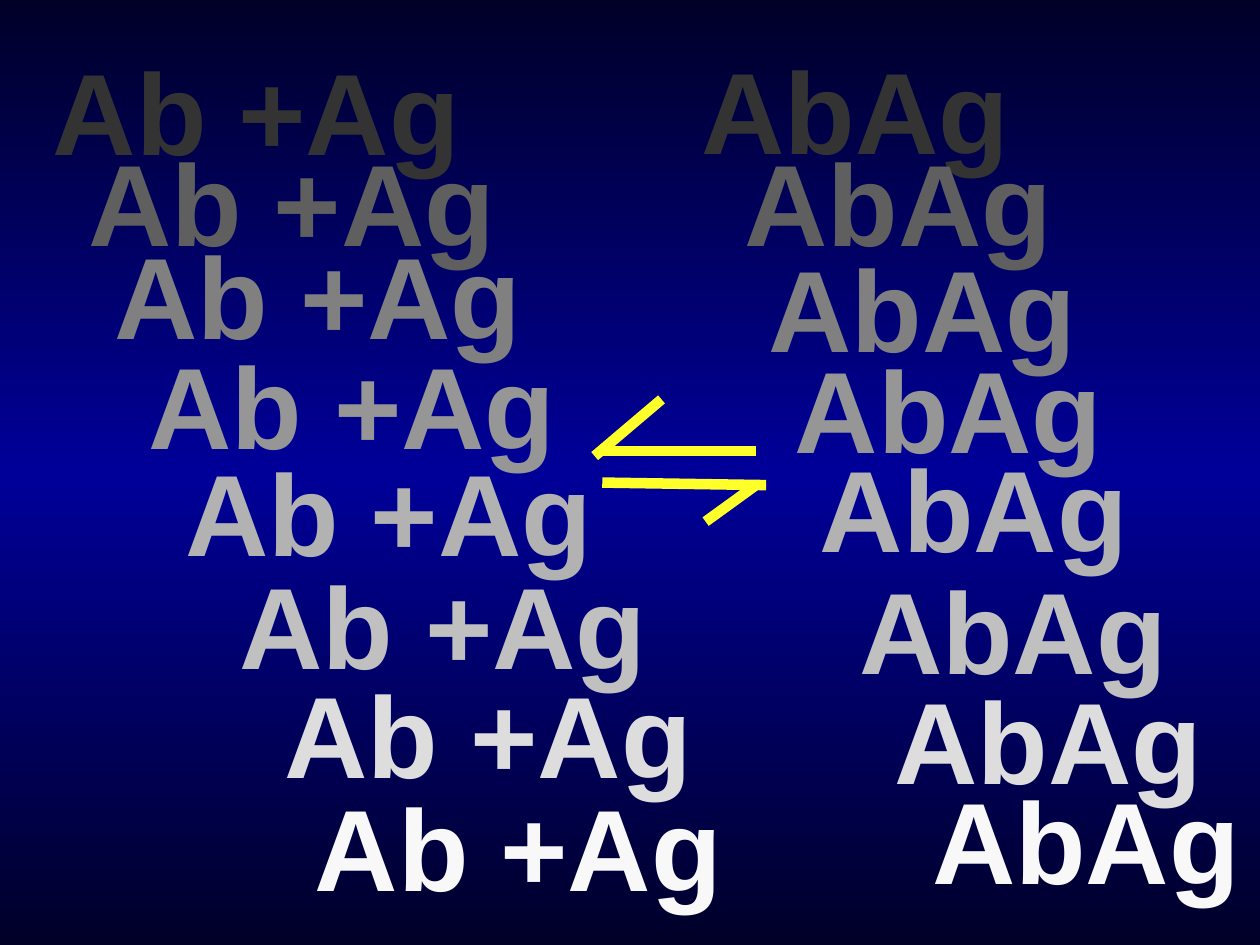
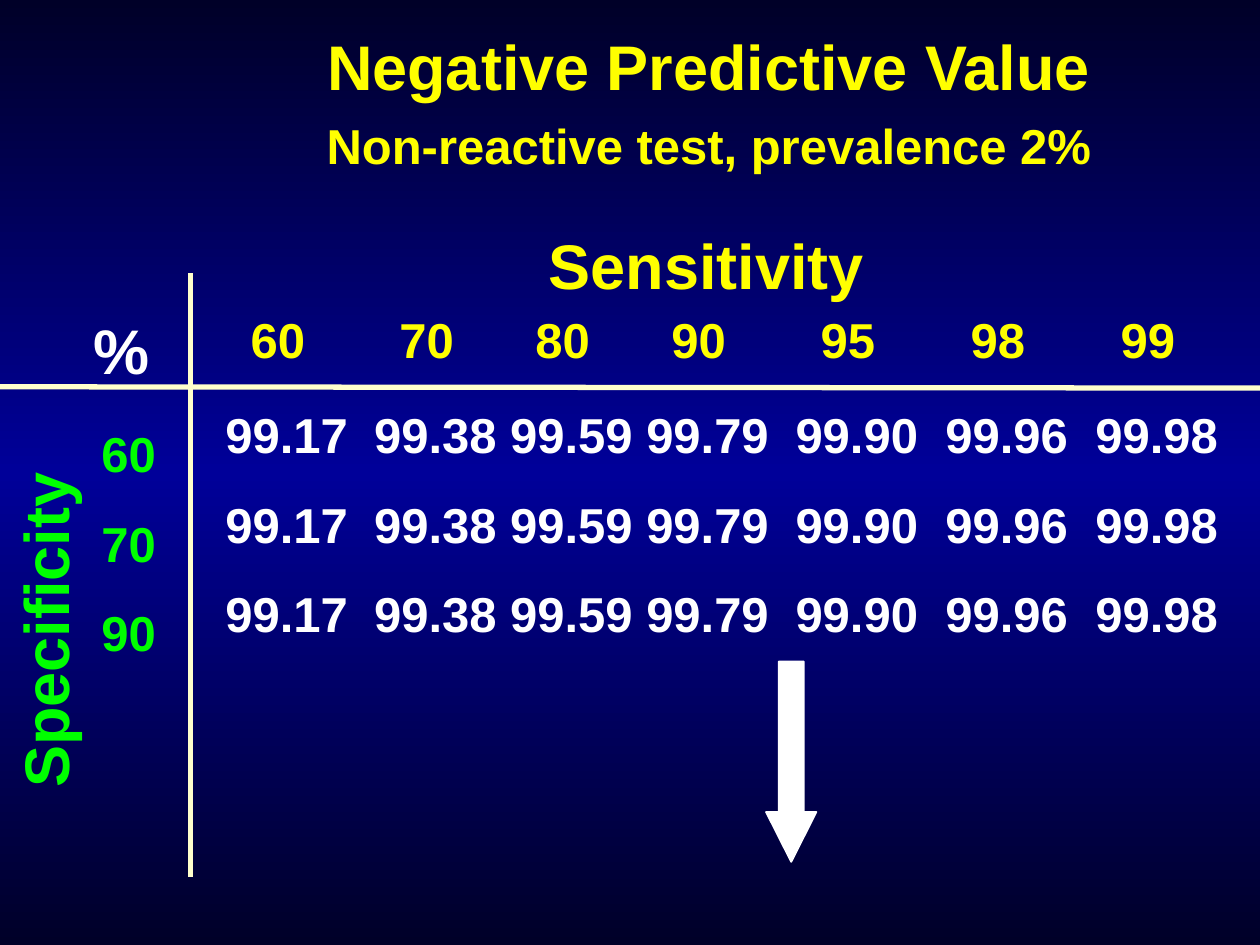
from copy import deepcopy
from pptx import Presentation
from pptx.dml.color import RGBColor
from pptx.enum.shapes import MSO_CONNECTOR as CONN, MSO_SHAPE as SHAPE
from pptx.enum.text import MSO_ANCHOR as ANCHOR, MSO_AUTO_SIZE as AUTO, PP_ALIGN as ALIGN
from pptx.oxml import parse_xml
from pptx.oxml.ns import nsdecls, qn
from pptx.util import Inches, Pt

FONT = "Arial"
NAVY, BLUE = "000028", "000099"
YELLOW, GREEN, WHITE, CREAM, ARROW = "FFFF00", "00FF00", "FFFFFF", "FFFFCC", "FFFF29"
NO_GRID = "{2D5ABB26-0587-4C30-8999-92F81FD0307C}"

REACTION_STEPS = [
    ("333333", (0.32, 0.27), (5.17, 0.26)),
    ("5F5F5F", (0.6, 0.99), (5.51, 0.99)),
    ("808080", (0.81, 1.73), (5.7, 1.83)),
    ("969696", (1.08, 2.6), (5.91, 2.63)),
    ("B2B2B2", (1.37, 3.45), (6.11, 3.42)),
    ("C0C0C0", (1.8, 4.35), (6.42, 4.39)),
    ("DDDDDD", (2.16, 5.21), (6.7, 5.26)),
    ("F8F8F8", (2.4, 6.11), (7, 6.05)),
]
EQUILIBRIUM_ARROWS = [
    ((4.78, 3.83), (6.08, 3.85)),
    ((4.72, 3.62), (5.25, 3.17)),
    ((6, 3.85), (5.6, 4.14)),
    ((4.75, 3.58), (6, 3.58)),
]
SENSITIVITIES = ["60", "70", "80", "90", "95", "98", "99"]
SPECIFICITIES = ["60", "70", "90"]
PREDICTIVE_VALUES = ["99.17", "99.38", "99.59", "99.79", "99.90", "99.96", "99.98"]
COLUMN_WIDTHS = [1.3, 1.21, 1.15, 1.01, 1.15, 1.22, 1.16, 1.22]


def rgb(color):
    return RGBColor.from_string(color)


def add_run(p, text, size, color):
    r = p.add_run()
    r.text = text
    r.font.size = Pt(size)
    r.font.bold = True
    r.font.name = FONT
    r.font.color.rgb = rgb(color)
    return r


def add_text(s, at, text, size, color, align=ALIGN.CENTER, rotation=0):
    sp = s.shapes.add_textbox(*map(Inches, at))
    sp.rotation = rotation
    tf = sp.text_frame
    tf.word_wrap = True
    tf.vertical_anchor = ANCHOR.BOTTOM
    p = tf.paragraphs[0]
    p.alignment = align
    add_run(p, text, size, color)


def add_line(s, start, end, color, width):
    points = map(Inches, (*start, *end))
    line = s.shapes.add_connector(CONN.STRAIGHT, *points)
    line.line.color.rgb = rgb(color)
    line.line.width = Pt(width)
    line._element.spPr.append(parse_xml(f"<a:effectLst {nsdecls('a')}/>"))


def add_text_shadow(r):
    shadow = parse_xml(
        f'<a:effectLst {nsdecls("a")}><a:outerShdw dist="35921" dir="2700000">'
        '<a:srgbClr val="800000"/></a:outerShdw></a:effectLst>'
    )
    r.font._element.find(qn("a:solidFill")).addnext(shadow)


def set_title(s, at, lines):
    sp = s.shapes.title
    sp.left, sp.top, sp.width, sp.height = map(Inches, at)
    tf = sp.text_frame
    tf.auto_size = AUTO.NONE
    tf.word_wrap = True
    tf.vertical_anchor = ANCHOR.BOTTOM
    for i, (text, size, space) in enumerate(lines):
        p = tf.add_paragraph() if i else tf.paragraphs[0]
        p.alignment = ALIGN.CENTER
        p.line_spacing = 0.7
        p.space_before = Pt(space)
        add_text_shadow(add_run(p, text, size, YELLOW))


def fill_cell(cell, text, size, color, top, right=0):
    cell.fill.background()
    cell.margin_left = cell.margin_bottom = 0
    cell.margin_top, cell.margin_right = Inches(top), Inches(right)
    p = cell.text_frame.paragraphs[0]
    p.alignment = ALIGN.CENTER
    add_run(p, text, size, color)


def add_value_table(s, left, top, header_height, row_height):
    rows, cols = len(SPECIFICITIES) + 1, len(COLUMN_WIDTHS)
    height = header_height + row_height * len(SPECIFICITIES)
    frame = s.shapes.add_table(
        rows, cols, Inches(left), Inches(top), Inches(sum(COLUMN_WIDTHS)), Inches(height)
    )
    table = frame.table
    table.first_row = table.horz_banding = False
    table._tbl.tblPr.find(qn("a:tableStyleId")).text = NO_GRID
    for column, width in zip(table.columns, COLUMN_WIDTHS):
        column.width = Inches(width)
    for i, row in enumerate(table.rows):
        row.height = Inches(row_height if i else header_height)
    fill_cell(table.cell(0, 0), "%", 36, WHITE, 0.1, 0.12)
    for c, sensitivity in enumerate(SENSITIVITIES, 1):
        fill_cell(table.cell(0, c), sensitivity, 28, YELLOW, 0.07, 0.14)
    for i, specificity in enumerate(SPECIFICITIES, 1):
        fill_cell(table.cell(i, 0), specificity, 28, GREEN, 0.15)
        for c, value in enumerate(PREDICTIVE_VALUES, 1):
            fill_cell(table.cell(i, c), value, 28, WHITE, 0)


def add_down_arrow(s, at):
    sp = s.shapes.add_shape(SHAPE.DOWN_ARROW, *map(Inches, at))
    sp.shadow.inherit = False
    sp.adjustments[0], sp.adjustments[1] = 0.5, 0.99
    sp.fill.solid()
    sp.fill.fore_color.rgb = rgb(WHITE)
    sp.line.color.rgb = rgb(WHITE)
    sp.line.width = Pt(1)


def set_background(master):
    fill = master.background.fill
    fill.gradient()
    fill.gradient_angle = 90
    stops = master.element.find(".//" + qn("a:gsLst"))
    stops.append(deepcopy(stops[-1]))
    for stop, position, color in zip(fill.gradient_stops, (0, 0.5, 1), (NAVY, BLUE, NAVY)):
        stop.position = position
        stop.color.rgb = rgb(color)


def build_reaction(prs):
    s = prs.slides.add_slide(prs.slide_layouts[6])
    for color, free, bound in REACTION_STEPS:
        add_text(s, (*free, 4.25, 1.2), "Ab +Ag", 66, color, ALIGN.LEFT)
        add_text(s, (*bound, 3.24, 1.2), "AbAg", 66, color)
    for start, end in EQUILIBRIUM_ARROWS:
        add_line(s, start, end, ARROW, 6)


def build_predictive_value(prs):
    s = prs.slides.add_slide(prs.slide_layouts[5])
    set_title(s, (1.25, 0.33, 8.75, 1.09), [
        ("Negative Predictive Value", 36, 0),
        ("Non-reactive test, prevalence 2%", 28, 17.5),
    ])
    add_value_table(s, 0.37, 2.42, 0.83, 0.71)
    add_text(s, (-1.57, 4.65, 3.84, 0.7), "Specificity", 36, GREEN, rotation=270)
    add_line(s, (0, 3.07), (10, 3.08), CREAM, 3)
    add_line(s, (1.51, 2.17), (1.51, 6.96), CREAM, 3)
    add_text(s, (3.76, 1.75, 3.69, 0.7), "Sensitivity", 36, YELLOW)
    add_down_arrow(s, (6.08, 5.25, 0.4, 1.59))


def main():
    prs = Presentation()
    prs.slide_width, prs.slide_height = Inches(10), Inches(7.5)
    set_background(prs.slide_master)
    build_reaction(prs)
    build_predictive_value(prs)
    prs.save("out.pptx")


if __name__ == "__main__":
    main()
